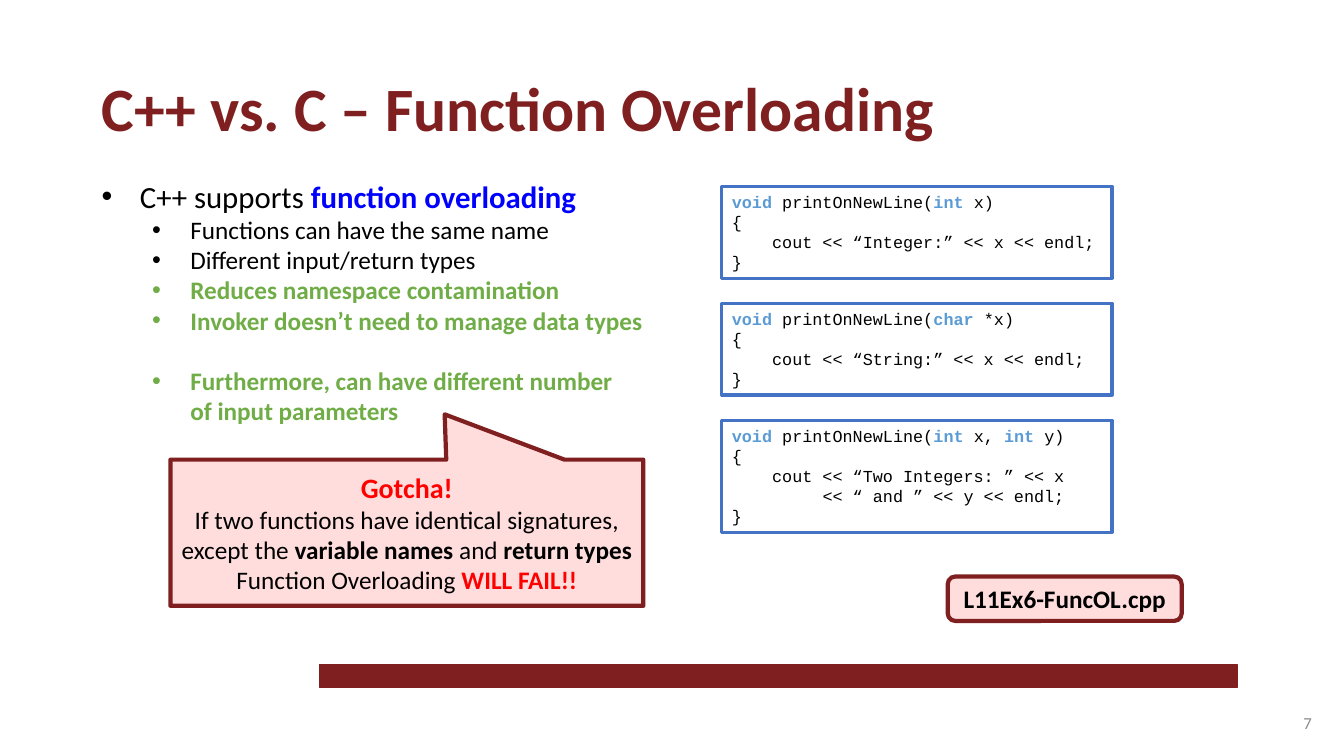
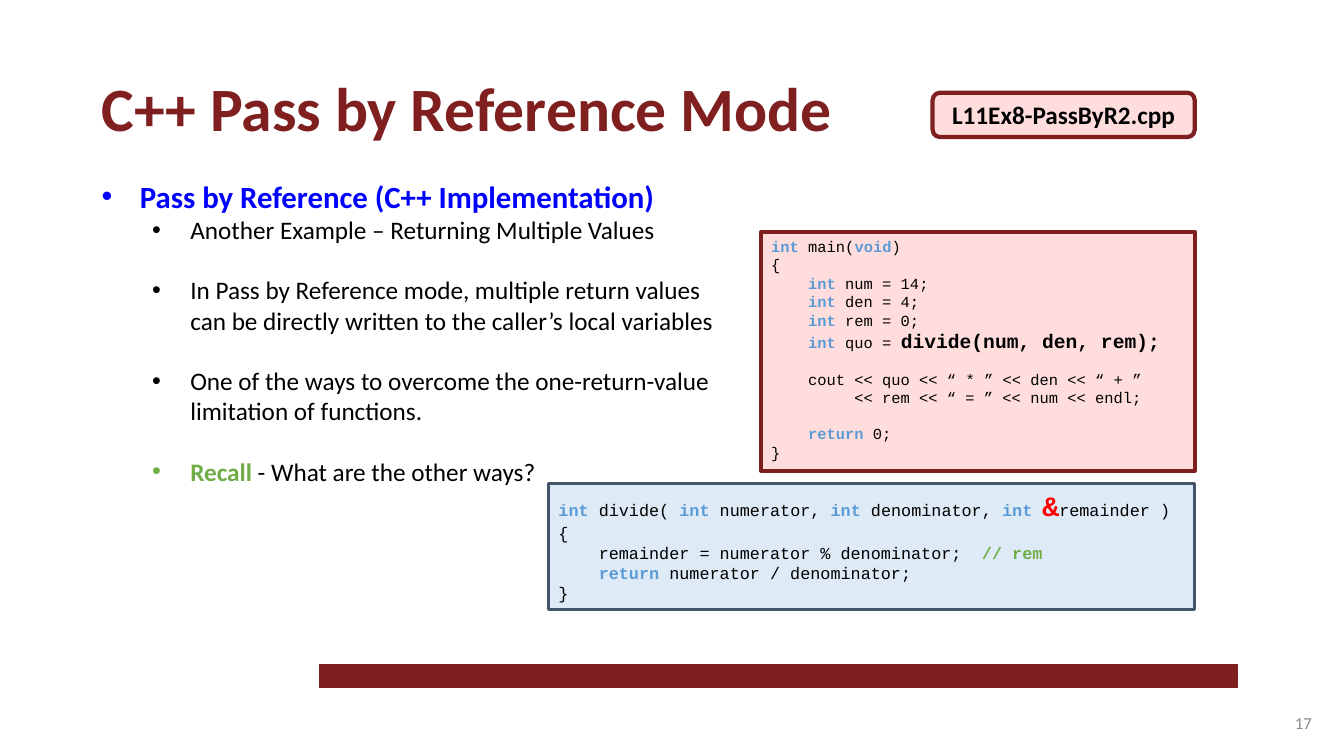
from lxml import etree
from pptx import Presentation
from pptx.dml.color import RGBColor
from pptx.enum import shapes, text
from pptx.oxml.ns import qn
from pptx.util import Inches, Pt

MAROON, PINK, WHITE, BLACK = "7F1F1F", "FFDDDD", "FFFFFF", "000000"
BLUE, GREEN, RED, GREY = "0000FF", "70AD47", "FF0000", "8C8C8C"
KEYWORD, FRAME, PALE_BLUE, SLATE = "5B9BD5", "4472C4", "DEEBF7", "44546A"
BODY, CODE = "Calibri", "Courier New"
LINE_HEIGHT = {BODY: 1.2, CODE: 1.13}   # line pitch in font sizes
LEFT = text.PP_ALIGN.LEFT
CENTER = text.PP_ALIGN.CENTER
RIGHT = text.PP_ALIGN.RIGHT
TOP, MIDDLE = text.MSO_ANCHOR.TOP, text.MSO_ANCHOR.MIDDLE
RECT = shapes.MSO_SHAPE.RECTANGLE
ROUNDED = shapes.MSO_SHAPE.ROUNDED_RECTANGLE
CALLOUT = shapes.MSO_SHAPE.RECTANGULAR_CALLOUT


def key(word):
    return word, {"color": KEYWORD, "bold": True}


def strong(words, color=BLACK, **style):
    return words, {"color": color, "bold": True, **style}


# ---- Content ----
# A line is (level or code column, blank lines before, spans).
OVERLOAD_POINTS = [
    (0, 0, ["C++ supports ", strong("function overloading", BLUE)]),
    (1, 0, ["Functions can have the same name"]),
    (1, 0, ["Different input/return types"]),
    (1, 0, [strong("Reduces namespace contamination", GREEN)]),
    (1, 0, [strong("Invoker doesn’t need to manage data types", GREEN)]),
    (1, 1, [strong("Furthermore, can have different number\nof input parameters",
                   GREEN)]),
]
# Parameter spans and indented body lines of each overload
OVERLOADS = [
    ([key("int"), " x)"], [(4, "cout << “Integer:” << x << endl;")]),
    ([key("char"), " *x)"], [(4, "cout << “String:” << x << endl;")]),
    ([key("int"), " x, ", key("int"), " y)"],
     [(4, "cout << “Two Integers: ” << x"), (9, "<< “ and ” << y << endl;")]),
]
GOTCHA = [
    (0, 0, [strong("Gotcha!", RED, size=20)]),
    (0, 0, ["If two functions have identical signatures, except the ",
            strong("variable names "), "and ", strong("return types\n"),
            "Function Overloading", strong(" WILL FAIL!!", RED)]),
]
REFERENCE_POINTS = [
    (0, 0, [strong("Pass by Reference (C++ Implementation)", BLUE)]),
    (1, 0, ["Another Example – Returning Multiple Values"]),
    (1, 1, ["In Pass by Reference mode, multiple return values can be "
            "directly written to the caller’s local variables"]),
    (1, 1, ["One of the ways to overcome the one-return-value limitation "
            "of functions."]),
    (1, 1, [strong("Recall", GREEN), " - What are the other ways?"]),
]
MAIN_CODE = [
    (0, 0, [key("int"), " main(", key("void"), ")"]),
    (0, 0, ["{"]),
    (4, 0, [key("int"), " num = 14;"]),
    (4, 0, [key("int"), " den = 4;"]),
    (4, 0, [key("int"), " rem = 0;"]),
    (4, 0, [key("int"), " quo = ", strong("divide(num, den, rem);", size=14)]),
    (4, 1, ["cout << quo << “ * ” << den << “ + ”"]),
    (9, 0, ["<< rem << “ = ” << num << endl;"]),
    (4, 1, [key("return"), " 0;"]),
    (0, 0, ["}"]),
]
DIVIDE_CODE = [
    (0, 0, [key("int"), " divide( ", key("int"), " numerator, ", key("int"),
            " denominator, ", key("int "), strong("&", RED, size=20),
            "remainder )"]),
    (0, 0, ["{"]),
    (4, 0, ["remainder = numerator % denominator; ",
            strong(" // rem", GREEN)]),
    (4, 0, [key("return"), " numerator / denominator;"]),
    (0, 0, ["}"]),
]


# ---- Helpers ----
def rgb(value):
    return RGBColor.from_string(value)


def add_bullet(para, level):
    para.level = level
    props = para._p.get_or_add_pPr()
    props.set("marL", str(Inches(0.38 + 0.5 * level)))
    props.set("indent", str(-Inches(0.38)))
    etree.SubElement(props, qn("a:buFont")).set("typeface", "Arial")
    etree.SubElement(props, qn("a:buChar")).set("char", "•")


def add_span(para, words, font=BODY, size=18, color=BLACK, bold=False):
    for number, piece in enumerate(words.split("\n")):
        if number:
            para.add_line_break()
        if piece:
            span = para.add_run()
            span.text = piece
            span.font.name, span.font.size = font, Pt(size)
            span.font.bold, span.font.color.rgb = bold, rgb(color)


def write(box, lines, font=BODY, size=18, color=BLACK, bold=False,
          align=LEFT, anchor=TOP, bullets=False):
    """Fill a box with a plain string or with (level, blank, spans) lines."""
    frame = box.text_frame
    frame.word_wrap, frame.vertical_anchor = True, anchor
    if isinstance(lines, str):
        lines = [(0, 0, [lines])]
    for number, (level, blank, spans) in enumerate(lines):
        para = frame.add_paragraph() if number else frame.paragraphs[0]
        para.alignment = align
        line_size = 22 if bullets and level == 0 else size
        if blank:
            para.space_before = Pt(round(blank * size * LINE_HEIGHT[font], 1))
        if bullets:
            add_bullet(para, level)
        elif level:
            # A Courier character is 0.6 of the font size wide
            para._p.get_or_add_pPr().set("marL", str(Pt(level * 0.6 * size)))
        for item in spans:
            words, style = (item, {}) if isinstance(item, str) else item
            look = {"font": font, "size": line_size, "color": color,
                    "bold": bold, **style}
            add_span(para, words, **look)


def add_text(page, at, lines, **style):
    box = page.shapes.add_textbox(*map(Inches, at))
    write(box, lines, **style)


def add_panel(page, at, fill, line, width, lines=None, kind=RECT, **style):
    panel = page.shapes.add_shape(kind, *map(Inches, at))
    panel.shadow.inherit = False
    panel.fill.solid()
    panel.fill.fore_color.rgb = rgb(fill)
    panel.line.color.rgb, panel.line.width = rgb(line), Pt(width)
    if lines:
        write(panel, lines, **style)
    return panel


def add_file_tag(page, at, name):
    add_panel(page, at, PINK, MAROON, 3, name, kind=ROUNDED, bold=True,
              align=CENTER, anchor=MIDDLE)


def add_page(deck, title, number):
    """Start a slide with the shared band, title and page number."""
    page = deck.slides.add_slide(deck.slide_layouts[6])
    add_panel(page, (3.17, 6.59, 9.1, 0.23), MAROON, MAROON, 1)
    add_text(page, (0.91, 0.64, 11.12, 0.84), title, size=44, color=MAROON,
             bold=True)
    add_text(page, (10.11, 6.97, 3, 0.4), str(number), size=12, color=GREY,
             align=RIGHT, anchor=MIDDLE)
    return page


# ---- Slides ----
def build_overloading(deck):
    page = add_page(deck, "C++ vs. C – Function Overloading", 7)
    add_text(page, (0.91, 1.71, 6.25, 3.2), OVERLOAD_POINTS, bullets=True)

    # Stack of overloads, each as tall as its code
    top = 1.85
    for parameters, body in OVERLOADS:
        lines = [(0, 0, [key("void"), " printOnNewLine(", *parameters]),
                 (0, 0, ["{"]),
                 *((column, 0, [code]) for column, code in body),
                 (0, 0, ["}"])]
        height = 0.11 + 0.2 * len(lines)
        add_panel(page, (7.16, top, 3.87, height), WHITE, FRAME, 2.25, lines,
                  font=CODE, size=12)
        top += height + 0.25

    add_file_tag(page, (9.4, 5.72, 2.32, 0.44), "L11Ex6-FuncOL.cpp")
    callout = add_panel(page, (1.69, 4.56, 4.69, 1.45), PINK, MAROON, 3,
                        GOTCHA, kind=CALLOUT, align=CENTER, anchor=MIDDLE)
    callout.adjustments[0], callout.adjustments[1] = 0.08, -0.81


def build_reference(deck):
    page = add_page(deck, "C++ Pass by Reference Mode", 17)
    add_text(page, (0.91, 1.71, 6.3, 3.5), REFERENCE_POINTS, bullets=True)
    add_file_tag(page, (9.25, 0.92, 2.6, 0.44), "L11Ex8-PassByR2.cpp")
    add_panel(page, (7.55, 2.3, 4.3, 2.37), PINK, MAROON, 3, MAIN_CODE,
              font=CODE, size=11)
    add_panel(page, (5.44, 4.8, 6.41, 1.25), PALE_BLUE, SLATE, 2.25,
              DIVIDE_CODE, font=CODE, size=12)


def main():
    deck = Presentation()
    deck.slide_width, deck.slide_height = Inches(13.33), Inches(7.5)
    build_overloading(deck)
    build_reference(deck)
    deck.save("out.pptx")


if __name__ == "__main__":
    main()
